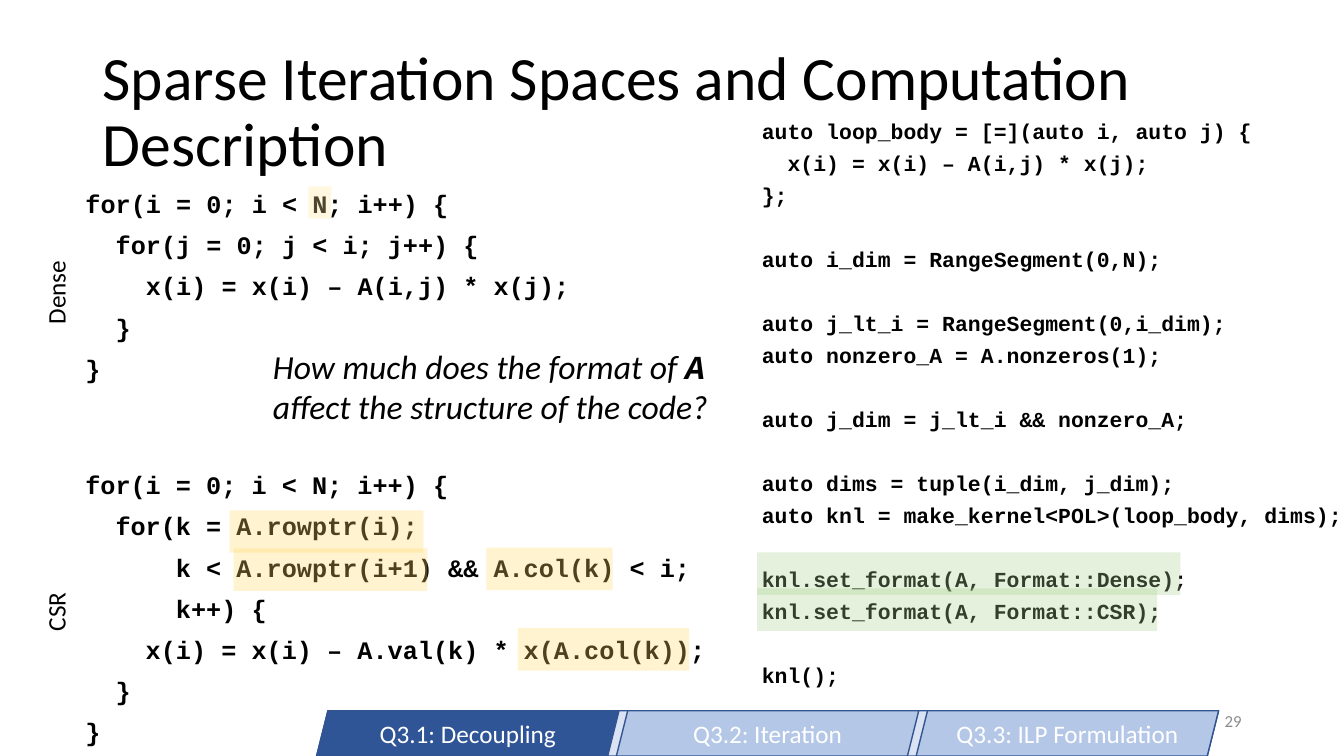
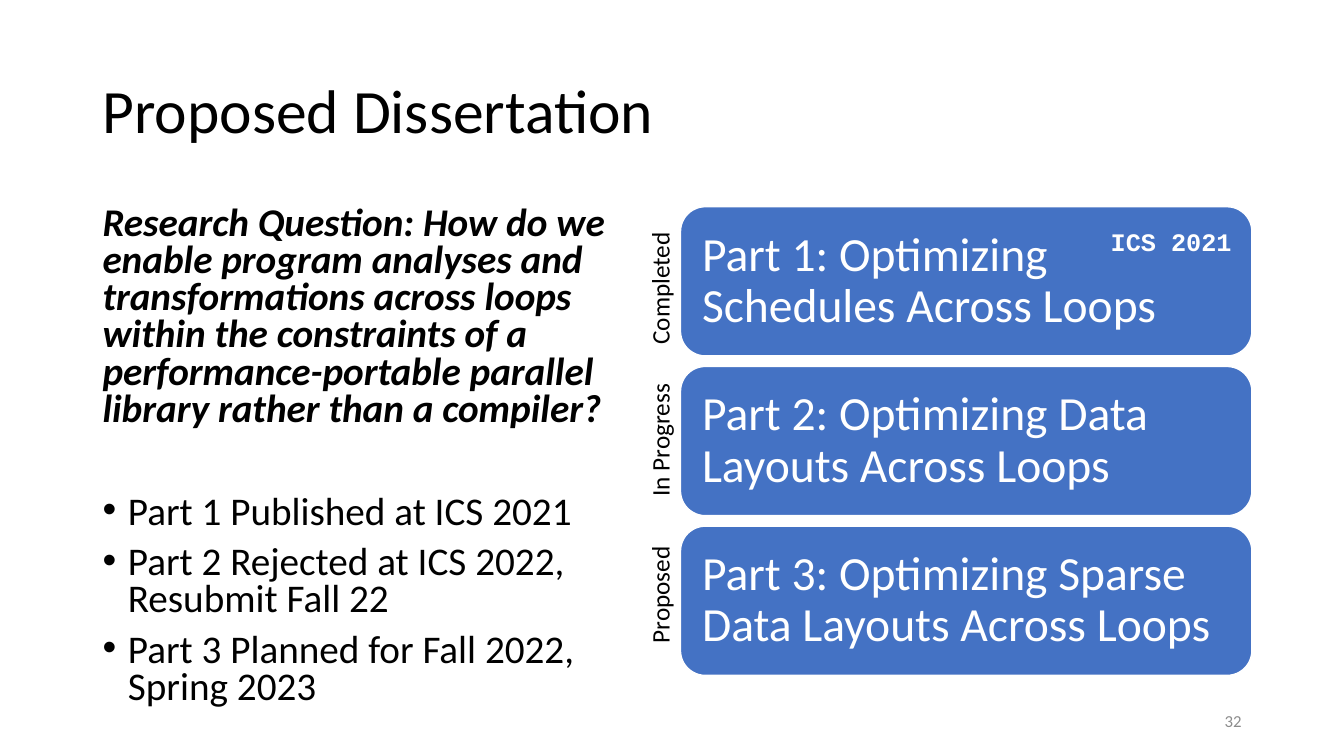
from collections import namedtuple

from lxml import etree
from pptx import Presentation
from pptx import util as u
from pptx.dml import color
from pptx.enum import shapes, text
from pptx.oxml import ns

Box = namedtuple("Box", "left top width height")

SANS, MONO = "Calibri", "Courier New"
BLACK, WHITE, GREY = "000000", "FFFFFF", "8C8C8C"
TAB_BACK, TAB_ON, TAB_OFF, TAB_LINE = "DAE3F3", "2F5597", "B4C7E7", "325491"
CARD_BLUE, AMBER, PALE_AMBER, GREEN = "4472C4", "FFD966", "FFE699", "A9D18E"

TITLE_BOX = Box(2.33, 1.02, 29.21, 3.68)
NUMBER_BOX = Box(23.92, 17.66, 7.62, 1.01)

DENSE_CODE = """for(i = 0; i < N; i++) {
  for(j = 0; j < i; j++) {
    x(i) = x(i) – A(i,j) * x(j);
  }
}"""

CSR_CODE = """for(i = 0; i < N; i++) {
  for(k = A.rowptr(i);
      k < A.rowptr(i+1) && A.col(k) < i;
      k++) {
    x(i) = x(i) – A.val(k) * x(A.col(k));
  }
}"""

KERNEL_CODE = """auto loop_body = [=](auto i, auto j) {
  x(i) = x(i) – A(i,j) * x(j);
};

auto i_dim = RangeSegment(0,N);

auto j_lt_i = RangeSegment(0,i_dim);
auto nonzero_A = A.nonzeros(1);

auto j_dim = j_lt_i && nonzero_A;

auto dims = tuple(i_dim, j_dim);
auto knl = make_kernel<POL>(loop_body, dims);

knl.set_format(A, Format::Dense);
knl.set_format(A, Format::CSR);

knl();"""


def rgb(value):
    """Turn a hex string into a colour."""
    return color.RGBColor.from_string(value)


def place(shape, box):
    """Move and size a shape to a box in centimetres."""
    shape.left, shape.top, shape.width, shape.height = map(u.Cm, box)


def add_run(paragraph, words, size, name=SANS, fill=BLACK, bold=False, italic=False):
    """Append one formatted run."""
    run = paragraph.add_run()
    run.text = words
    font = run.font
    font.size, font.name, font.bold, font.italic = u.Pt(size), name, bold, italic
    font.color.rgb = rgb(fill)


def next_paragraph(frame):
    """Return the empty first paragraph, or a new one."""
    first = frame.paragraphs[0]
    return frame.add_paragraph() if first.runs else first


def set_bullet(paragraph, character=None):
    """Give a paragraph a hanging bullet, or none."""
    properties = paragraph._p.get_or_add_pPr()
    indent = u.Cm(0.64) if character else 0
    properties.set("marL", str(indent))
    properties.set("indent", str(-indent))
    tag = "a:buChar" if character else "a:buNone"
    bullet = etree.SubElement(properties, ns.qn(tag))
    if character:
        bullet.set("char", character)


def add_textbox(slide, box, wrap=True, anchor=text.MSO_ANCHOR.TOP):
    """Add an empty text box and return it."""
    shape = slide.shapes.add_textbox(*map(u.Cm, box))
    shape.text_frame.word_wrap = wrap
    shape.text_frame.vertical_anchor = anchor
    return shape


def add_filled(slide, kind, box, fill, line=None, alpha=None):
    """Add a flat preset shape."""
    shape = slide.shapes.add_shape(kind, *map(u.Cm, box))
    shape.shadow.inherit = False
    shape.fill.solid()
    shape.fill.fore_color.rgb = rgb(fill)
    if line:
        shape.line.color.rgb = rgb(line)
        shape.line.width = u.Pt(1)
    else:
        shape.line.fill.background()
    if alpha:
        tint = shape.fill._xPr.find(".//" + ns.qn("a:srgbClr"))
        etree.SubElement(tint, ns.qn("a:alpha")).set("val", str(alpha * 1000))
    return shape


def start_slide(presentation, title, number):
    """Add a slide with its title and page number."""
    slide = presentation.slides.add_slide(presentation.slide_layouts[1])
    place(slide.shapes.title, TITLE_BOX)
    frame = slide.shapes.title.text_frame
    frame.auto_size = text.MSO_AUTO_SIZE.NONE
    frame.vertical_anchor = text.MSO_ANCHOR.MIDDLE
    paragraph = frame.paragraphs[0]
    paragraph.alignment = text.PP_ALIGN.LEFT
    paragraph.line_spacing = 0.9
    add_run(paragraph, title, 44)

    footer = add_textbox(slide, NUMBER_BOX, anchor=text.MSO_ANCHOR.MIDDLE)
    paragraph = footer.text_frame.paragraphs[0]
    paragraph.alignment = text.PP_ALIGN.RIGHT
    add_run(paragraph, str(number), 12, fill=GREY)
    return slide


def body_frame(slide, box):
    """Move the body placeholder and return its text frame."""
    body = slide.placeholders[1]
    place(body, box)
    body.text_frame.auto_size = text.MSO_AUTO_SIZE.NONE
    return body.text_frame


def fill_code(frame, code, size=18, spacing=0.9, gap=32.9):
    """Write code lines, with a wider gap between blocks."""
    frame.margin_right = 0
    for block in code.split("\n\n"):
        for index, line in enumerate(block.split("\n")):
            paragraph = next_paragraph(frame)
            set_bullet(paragraph)
            paragraph.line_spacing = spacing
            started = len(frame.paragraphs) > 1
            paragraph.space_before = u.Pt((10 if index else gap) if started else 0)
            add_run(paragraph, line, size, MONO, bold=True)


def add_highlights(slide, box, marks, fill, height=1.07):
    """Tint passages given by left, top and width inside a code box."""
    for left, top, width in marks:
        mark = Box(box.left + left, box.top + top, width, height)
        add_filled(slide, shapes.MSO_SHAPE.RECTANGLE, mark, fill, alpha=30)


def add_side_label(slide, words, centre_x, centre_y):
    """Add a label that reads upwards, centred on a point."""
    width, height = 3.4, 1.01
    box = Box(centre_x - width / 2, centre_y - height / 2, width, height)
    label = add_textbox(slide, box, wrap=False)
    label.rotation = 270
    paragraph = label.text_frame.paragraphs[0]
    paragraph.alignment = text.PP_ALIGN.CENTER
    add_run(paragraph, words, 18)


def add_tabs(slide, box, names, active):
    """Draw the slanted navigation tabs along a band."""
    kind = shapes.MSO_SHAPE.PARALLELOGRAM
    add_filled(slide, kind, box, TAB_BACK, TAB_LINE)
    width = 7.62
    step = (box.width - width) / (len(names) - 1)
    for index, name in enumerate(names):
        tab_box = Box(box.left + index * step, box.top, width, box.height)
        fill = TAB_ON if index == active else TAB_OFF
        tab = add_filled(slide, kind, tab_box, fill, TAB_LINE)
        tab.text_frame.vertical_anchor = text.MSO_ANCHOR.MIDDLE
        paragraph = tab.text_frame.paragraphs[0]
        paragraph.alignment = text.PP_ALIGN.CENTER
        add_run(paragraph, name, 18, fill=WHITE)


def add_question(slide, box):
    """Write the question about the format of A."""
    frame = add_textbox(slide, box, wrap=False).text_frame
    first = frame.paragraphs[0]
    add_run(first, "How much does the format of ", 24, italic=True)
    add_run(first, "A", 24, MONO, bold=True, italic=True)
    add_run(frame.add_paragraph(), "affect the structure of the code?", 24, italic=True)


def add_parts(slide, box, parts):
    """Stack one card per part, each with its status at the left."""
    height = 3.76
    step = (box.height - height) / (len(parts) - 1)
    for index, (words, status, shift) in enumerate(parts):
        top = box.top + index * step
        card = add_filled(slide, shapes.MSO_SHAPE.ROUNDED_RECTANGLE,
                          Box(box.left, top, box.width, height), CARD_BLUE, WHITE)
        frame = card.text_frame
        frame.word_wrap = True
        frame.margin_left = frame.margin_right = u.Cm(0.36)
        frame.vertical_anchor = text.MSO_ANCHOR.MIDDLE
        paragraph = frame.paragraphs[0]
        paragraph.alignment = text.PP_ALIGN.LEFT
        paragraph.line_spacing = 0.9
        add_run(paragraph, words, 34, fill=WHITE)
        add_side_label(slide, status, box.left - 0.53, top + height / 2 + shift)

    venue = add_textbox(slide, Box(box.left + 10.59, box.top + 0.38, 3.58, 1.01), wrap=False)
    add_run(venue.text_frame.paragraphs[0], "ICS 2021", 18, MONO, WHITE, bold=True)


def add_research_list(slide, box, question, items):
    """Write the research question and the bulleted state of each part."""
    frame = body_frame(slide, box)
    for index, words in enumerate([question] + items):
        paragraph = next_paragraph(frame)
        set_bullet(paragraph, "•" if index else None)
        paragraph.line_spacing = 0.79
        paragraph.space_before = u.Pt((0, 47)[index] if index < 2 else 9.5)
        add_run(paragraph, words, 28, bold=not index, italic=not index)


def build_sparse_slide(presentation):
    """Compare dense and CSR loops with the kernel description."""
    slide = start_slide(presentation, "Sparse Iteration Spaces and Computation Description", 29)
    dense = Box(1.9, 4.7, 14.4, 5.36)
    csr = Box(1.9, 11.79, 17.04, 7.26)
    kernel = Box(18.95, 3.02, 14.92, 15.01)

    fill_code(body_frame(slide, dense), DENSE_CODE)
    add_tabs(slide, Box(7.98, 17.91, 22.73, 1.14),
             ["Q3.1: Decoupling", "Q3.2: Iteration", "Q3.3: ILP Formulation"], 0)
    fill_code(add_textbox(slide, csr).text_frame, CSR_CODE)
    fill_code(add_textbox(slide, kernel).text_frame, KERNEL_CODE, 15.3, 0.7)
    add_side_label(slide, "Dense", 1.4, 7.37)
    add_side_label(slide, "CSR", 1.4, 15.42)

    add_highlights(slide, dense, [(5.87, 0, 0.58)], PALE_AMBER, 0.81)
    add_highlights(slide, csr, [(11.15, 4.04, 4.32), (3.89, 1.07, 4.88),
                                (3.99, 2.03, 4.88), (10.36, 2.01, 3.18)], AMBER)
    add_highlights(slide, kernel, [(0.13, 10.9, 10.67), (0.13, 11.81, 10.08)], GREEN)
    add_question(slide, Box(6.63, 8.59, 11.51, 2.31))


def build_proposal_slide(presentation):
    """Show the research question beside the three parts."""
    slide = start_slide(presentation, "Proposed Dissertation", 32)
    add_research_list(
        slide, Box(2.33, 5.08, 14.4, 13.59),
        "Research Question: How do we enable program analyses and transformations across "
        "loops within the constraints of a performance-portable parallel library rather "
        "than a compiler?",
        ["Part 1 Published at ICS 2021",
         "Part 2 Rejected at ICS 2022, Resubmit Fall 22",
         "Part 3 Planned for Fall 2022, Spring 2023"])
    add_parts(slide, Box(17.15, 5.21, 14.4, 11.81), [
        ("Part 1: Optimizing Schedules Across Loops", "Completed", 0.18),
        ("Part 2: Optimizing Data Layouts Across Loops", "In Progress", -0.02),
        ("Part 3: Optimizing Sparse Data Layouts Across Loops", "Proposed", -0.15)])


def main():
    """Build and save the presentation."""
    presentation = Presentation()
    presentation.slide_width, presentation.slide_height = u.Cm(33.87), u.Cm(19.05)
    build_sparse_slide(presentation)
    build_proposal_slide(presentation)
    presentation.save("out.pptx")


if __name__ == "__main__":
    main()
